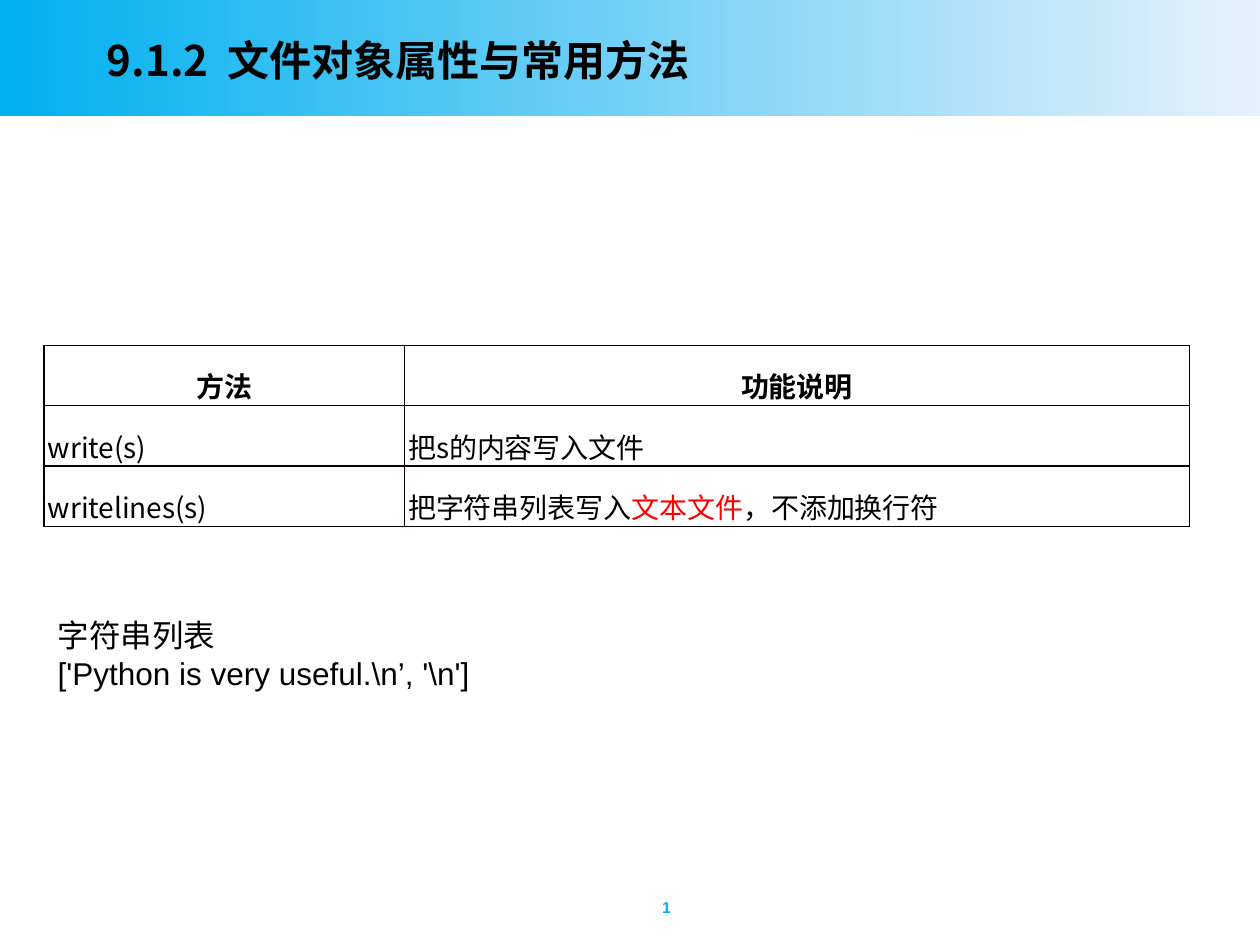
from pptx import Presentation
from pptx.dml.color import RGBColor
from pptx.enum.shapes import MSO_SHAPE
from pptx.enum.text import MSO_ANCHOR, PP_ALIGN
from pptx.oxml.ns import qn
from pptx.util import Inches, Pt
from lxml.etree import SubElement

CJK, LATIN = "Noto Sans CJK SC", "Arial"
SKY = RGBColor(0x00, 0xB0, 0xF0)
PALE = RGBColor(0xE6, 0xF1, 0xFC)
BLACK = RGBColor(0, 0, 0)
RED = RGBColor(0xFF, 0, 0)
RULE = RGBColor(0x08, 0, 0)

TITLE = "9.1.2  文件对象属性与常用方法"
PAGE_NUMBER = "1"
HEADER = ["方法", "功能说明"]
# Each cell is a list of (text, colour) runs.
METHODS = [
    [[("write(s)", BLACK)], [("把s的内容写入文件", BLACK)]],
    [[("writelines(s)", BLACK)],
     [("把字符串列表写入", BLACK), ("文本文件", RED), ("，不添加换行符", BLACK)]],
]
EXAMPLE = [("字符串列表", CJK), (r"['Python is very useful.\n’, '\n']", LATIN)]
COLUMN_WIDTHS = [2.86, 6.23]
ROW_HEIGHT = 0.48


def add_run(paragraph, text, size, font=CJK, color=BLACK, bold=False):
    run = paragraph.add_run()
    run.text = text
    run.font.size = Pt(size)
    run.font.name = font
    run.font.bold = bold
    run.font.color.rgb = color
    SubElement(run.font._element, qn("a:ea"), typeface=font)


def add_text_frame(slide, left, top, width, height, anchor=MSO_ANCHOR.TOP):
    box = slide.shapes.add_textbox(
        Inches(left), Inches(top), Inches(width), Inches(height))
    frame = box.text_frame
    frame.word_wrap = True
    frame.vertical_anchor = anchor
    return frame


def set_borders(cell, right_color, right_width):
    """Rule all four sides; the right side has its own colour and width."""
    properties = cell._tc.get_or_add_tcPr()
    sides = [("L", RULE, 1), ("R", right_color, right_width),
             ("T", RULE, 1), ("B", RULE, 1)]
    for position, (side, color, width) in enumerate(sides):
        line = SubElement(properties, qn(f"a:ln{side}"), w=str(Pt(width)))
        fill = SubElement(line, qn("a:solidFill"))
        SubElement(fill, qn("a:srgbClr"), val=str(color))
        properties.insert(position, line)


def add_banner(slide, width):
    banner = slide.shapes.add_shape(MSO_SHAPE.RECTANGLE, 0, 0, width, Inches(0.92))
    banner.shadow.inherit = False
    banner.line.fill.background()
    banner.fill.gradient()
    banner.fill.gradient_angle = 0
    for stop, position, color in zip(banner.fill.gradient_stops, (0, 1), (SKY, PALE)):
        stop.position = position
        stop.color.rgb = color


def add_method_table(slide):
    rows = [[[(label, BLACK)] for label in HEADER]] + METHODS
    table = slide.shapes.add_table(
        len(rows), len(HEADER), Inches(0.35), Inches(2.74),
        Inches(sum(COLUMN_WIDTHS)), Inches(ROW_HEIGHT * len(rows))).table
    table.horz_banding = False
    for column, width in zip(table.columns, COLUMN_WIDTHS):
        column.width = Inches(width)
    for r, row in enumerate(rows):
        is_header = r == 0
        for c, runs in enumerate(row):
            cell = table.cell(r, c)
            cell.fill.background()
            cell.margin_left = Inches(0 if is_header else 0.03)
            cell.margin_right = cell.margin_top = cell.margin_bottom = 0
            is_last = c == len(row) - 1
            set_borders(cell, BLACK if is_last else RULE, 0.75 if is_last else 1)
            paragraph = cell.text_frame.paragraphs[0]
            paragraph.line_spacing = 1.5
            paragraph.alignment = PP_ALIGN.CENTER if is_header else PP_ALIGN.LEFT
            for text, color in runs:
                add_run(paragraph, text, 16, color=color, bold=is_header)


def main():
    prs = Presentation()
    prs.slide_width, prs.slide_height = Inches(10), Inches(7.5)
    slide = prs.slides.add_slide(prs.slide_layouts[6])

    add_banner(slide, prs.slide_width)
    title = add_text_frame(slide, 0.75, 0.14, 8.14, 0.67, MSO_ANCHOR.MIDDLE)
    add_run(title.paragraphs[0], TITLE, 24, bold=True)

    number = add_text_frame(slide, 5, 7.08, 0.58, 0.33).paragraphs[0]
    number.alignment = PP_ALIGN.CENTER
    add_run(number, PAGE_NUMBER, 9, LATIN, SKY, bold=True)

    add_method_table(slide)

    example = add_text_frame(slide, 0.36, 4.84, 5, 0.71)
    for i, (text, font) in enumerate(EXAMPLE):
        paragraph = example.add_paragraph() if i else example.paragraphs[0]
        add_run(paragraph, text, 18, font)

    prs.save("out.pptx")


if __name__ == "__main__":
    main()
